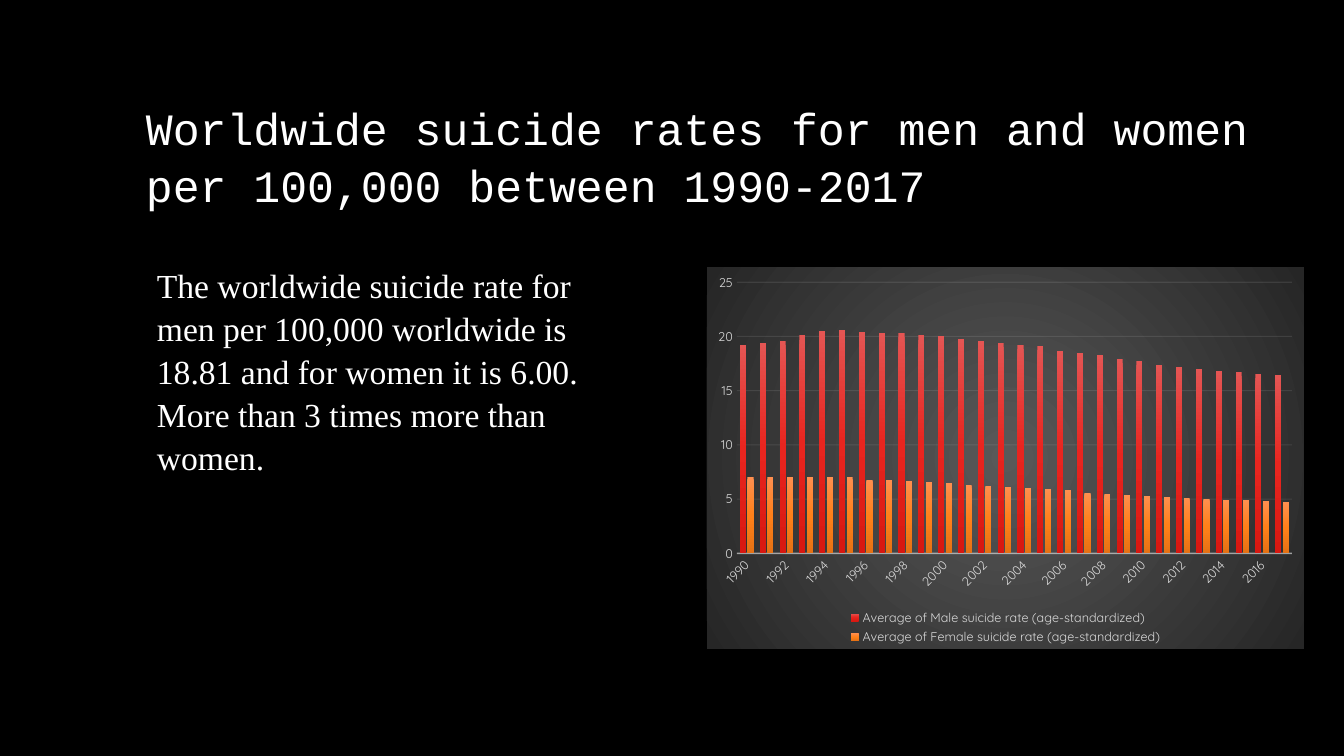
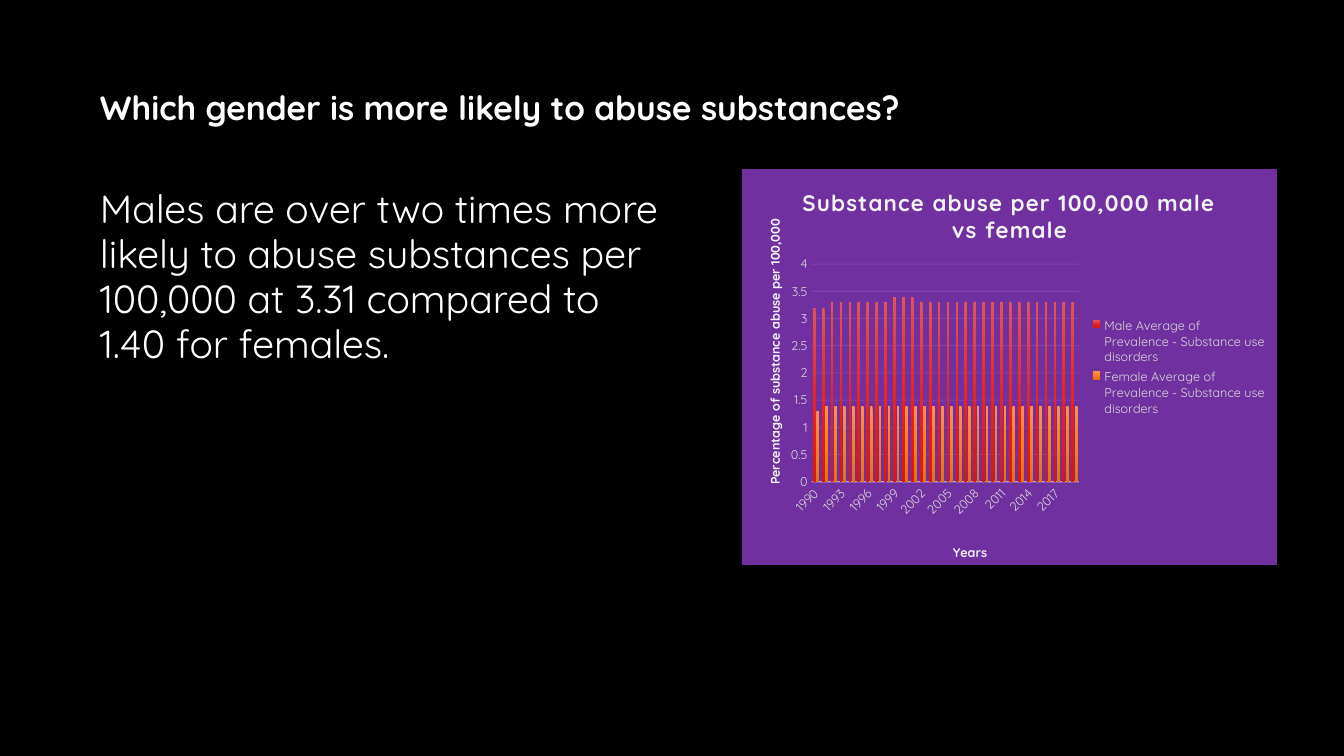
from pptx import Presentation
from pptx.chart.data import CategoryChartData as ChartData
from pptx.dml.color import RGBColor
from pptx.enum.chart import (XL_CHART_TYPE as ChartType, XL_LEGEND_POSITION as LegendPos,
                             XL_TICK_MARK as Tick)
from pptx.enum.text import MSO_AUTO_SIZE as AutoSize
from pptx.oxml import parse_xml
from pptx.oxml.ns import nsdecls, qn
from pptx.util import Emu, Pt

COLORS = {
    "background": "000000", "text": "FFFFFF", "label": "D9D9D9", "line": "F2F2F2",
    "purple": "7030A0",
}
MALE = ["E45553", "E8251F", "D81811"]
FEMALE = ["FF8F4F", "FF8019", "E57114"]
CHARCOAL = ["595959", "262626"]
LINEAR = '<a:lin ang="5400000" scaled="0"/>'
RADIAL = '<a:path path="circle"><a:fillToRect l="50000" t="50000" r="50000" b="50000"/></a:path>'
BODY_FONT = "Quicksand"


def px(n):
    return Emu(round(n * 914400 / 100.8))


def rgb(name):
    return RGBColor.from_string(COLORS[name])


def write(tf, text, size=24, font=BODY_FONT, color="text", bold=False, spacing=None,
          tracking=None):
    p = tf.paragraphs[0]
    if spacing:
        p.line_spacing = spacing
    r = p.add_run()
    r.text = text
    style_font(r.font, size, color, font, bold)
    if tracking:
        r.font._element.set("spc", str(tracking))


def style_font(f, size, color, name=BODY_FONT, bold=False):
    f.size, f.name, f.bold = Pt(size), name, bold
    f.color.rgb = rgb(color)


def gradient(hexes, direction):
    last = len(hexes) - 1
    stops = "".join(f'<a:gs pos="{100000 * i // last}"><a:srgbClr val="{h}"/></a:gs>'
                    for i, h in enumerate(hexes))
    return parse_xml(f'<a:gradFill {nsdecls("a")} rotWithShape="1"><a:gsLst>{stops}</a:gsLst>'
                     f'{direction}</a:gradFill>')


def solid(name):
    return parse_xml(f'<a:solidFill {nsdecls("a")}><a:srgbClr val="{COLORS[name]}"/>'
                     '</a:solidFill>')


def thin_line(line, width, opacity):
    line.width = Pt(width)
    line.color.rgb = rgb("line")
    color = next(line._get_or_add_ln().iter(qn("a:srgbClr")))
    color.append(parse_xml(f'<a:alpha {nsdecls("a")} val="{opacity * 1000}"/>'))


def place(element, index, **fractions):
    """Give a chart part a fixed place, in fractions of the chart."""
    for old in element.findall(qn("c:layout")):
        element.remove(old)
    target = '<c:layoutTarget val="inner"/>' if "w" in fractions else ""
    modes = "".join(f'<c:{k}Mode val="edge"/>' for k in "xy")
    values = "".join(f'<c:{k} val="{v}"/>' for k, v in fractions.items())
    element.insert(index, parse_xml(f'<c:layout {nsdecls("c")}><c:manualLayout>{target}{modes}'
                                    f'{values}</c:manualLayout></c:layout>'))


class Deck:
    def __init__(self):
        self.prs = Presentation()
        self.prs.slide_width, self.prs.slide_height = px(1344), px(756)
        self.s = None

    def slide(self):
        self.s = self.prs.slides.add_slide(self.prs.slide_layouts[6])
        fill = self.s.background.fill
        fill.solid()
        fill.fore_color.rgb = rgb("background")

    def text(self, box, text, **style):
        tf = self.s.shapes.add_textbox(*map(px, box)).text_frame
        tf.word_wrap = True
        tf.auto_size = AutoSize.SHAPE_TO_FIT_TEXT
        write(tf, text, **style)

    def columns(self, box, first_year, series, fill, plot, top, step, legend):
        data = ChartData()
        count = len(series[0][1])
        data.categories = [str(first_year + i) for i in range(count)]
        for name, values in series:
            data.add_series(name, values)
        chart = self.s.shapes.add_chart(ChartType.COLUMN_CLUSTERED, *map(px, box), data).chart
        style_font(chart.font, 10, "text")
        chart.has_title = False

        # Columns and chart background
        bars = chart.plots[0]
        bars.gap_width, bars.overlap, bars.vary_by_categories = 100, -24, False
        for ser, shades in zip(bars.series, (MALE, FEMALE)):
            ser.format.fill.background()
            props = ser._element.get_or_add_spPr()
            props.replace(props[0], gradient(shades, LINEAR))
        back = parse_xml(f'<c:spPr {nsdecls("c", "a")}><a:ln><a:noFill/></a:ln></c:spPr>')
        back.insert(0, fill)
        chart_el = chart._chartSpace.find(qn("c:chart"))
        chart_el.addnext(back)
        place(chart_el.find(qn("c:plotArea")), 0, **plot)

        # Axes
        cat, val = chart.category_axis, chart.value_axis
        for axis in (cat, val):
            axis.major_tick_mark = axis.minor_tick_mark = Tick.NONE
            style_font(axis.tick_labels.font, 9, "label")
        thin_line(cat.format.line, 1, 54)
        cat._element.find(qn("c:txPr")).find(qn("a:bodyPr")).set("rot", "-2700000")
        val.minimum_scale, val.maximum_scale, val.major_unit = 0, top, step
        val.format.line.fill.background()
        val.has_major_gridlines = True
        thin_line(val.major_gridlines.format.line, 0.75, 10)

        # Legend
        chart.has_legend = True
        chart.legend.position = legend
        chart.legend.include_in_layout = False
        style_font(chart.legend.font, 9, "label")
        return chart

    def axis_title(self, axis, text, x, y, turn=0):
        title = axis.axis_title
        write(title.text_frame, text, size=9, color="line", bold=True)
        body = title.text_frame._txBody.find(qn("a:bodyPr"))
        body.set("rot", str(turn * 60000))
        body.set("vert", "horz")
        place(title._element, 1, x=x, y=y)


def suicide_slide(deck):
    deck.slide()
    male = [19.2, 19.4, 19.6, 20.1, 20.5, 20.6, 20.4, 20.3, 20.3, 20.1, 20, 19.8, 19.6, 19.4,
            19.2, 19.1, 18.7, 18.5, 18.3, 17.9, 17.7, 17.4, 17.2, 17, 16.8, 16.7, 16.5, 16.4]
    female = [7, 7, 7, 7, 7, 7, 6.8, 6.8, 6.7, 6.6, 6.5, 6.3, 6.2, 6.1,
              6, 5.9, 5.8, 5.6, 5.5, 5.4, 5.3, 5.2, 5.1, 5, 4.9, 4.9, 4.8, 4.7]
    deck.columns((707, 267, 597, 382), 1990,
                 [("Average of Male suicide rate (age-standardized)", male),
                  ("Average of Female suicide rate (age-standardized)", female)],
                 gradient(CHARCOAL, RADIAL), dict(x=0.05, y=0.04, w=0.93, h=0.71),
                 top=25, step=5, legend=LegendPos.BOTTOM)
    deck.text((136, 92, 1143, 119),
              "Worldwide suicide rates for men and women per 100,000 between 1990-2017",
              size=32, font="Courier New", spacing=1.07)
    deck.text((147, 257, 490, 214),
              "The worldwide suicide rate for men per 100,000 worldwide is 18.81 and for women "
              "it is 6.00. More than 3 times more than women.",
              font="Times New Roman", spacing=1.07)


def substance_slide(deck):
    deck.slide()
    deck.text((90, 82, 1126, 50), "Which gender is more likely to abuse substances?", bold=True)
    male = [3.2] * 2 + [3.3] * 7 + [3.4] * 3 + [3.3] * 18
    female = [1.3] + [1.4] * 29
    chart = deck.columns((742, 169, 535, 396), 1990,
                         [("Male Average of Prevalence - Substance use disorders", male),
                          ("Female Average of Prevalence - Substance use disorders", female)],
                         solid("purple"), dict(x=0.13, y=0.24, w=0.5, h=0.55),
                         top=4, step=0.5, legend=LegendPos.RIGHT)
    chart.has_title = True
    write(chart.chart_title.text_frame, "Substance abuse per 100,000 male vs female",
          size=16, color="line", bold=True, tracking=100)
    deck.axis_title(chart.category_axis, "Years", 0.39, 0.94)
    deck.axis_title(chart.value_axis, "Percentage of substance abuse per 100,000", 0.04, 0.12, -90)
    deck.text((90, 182, 582, 248),
              "Males are over two times more likely to abuse substances per 100,000 at 3.31 "
              "compared to 1.40 for females.", size=28, spacing=0.96)


def main():
    deck = Deck()
    suicide_slide(deck)
    substance_slide(deck)
    deck.prs.save("out.pptx")


if __name__ == "__main__":
    main()
